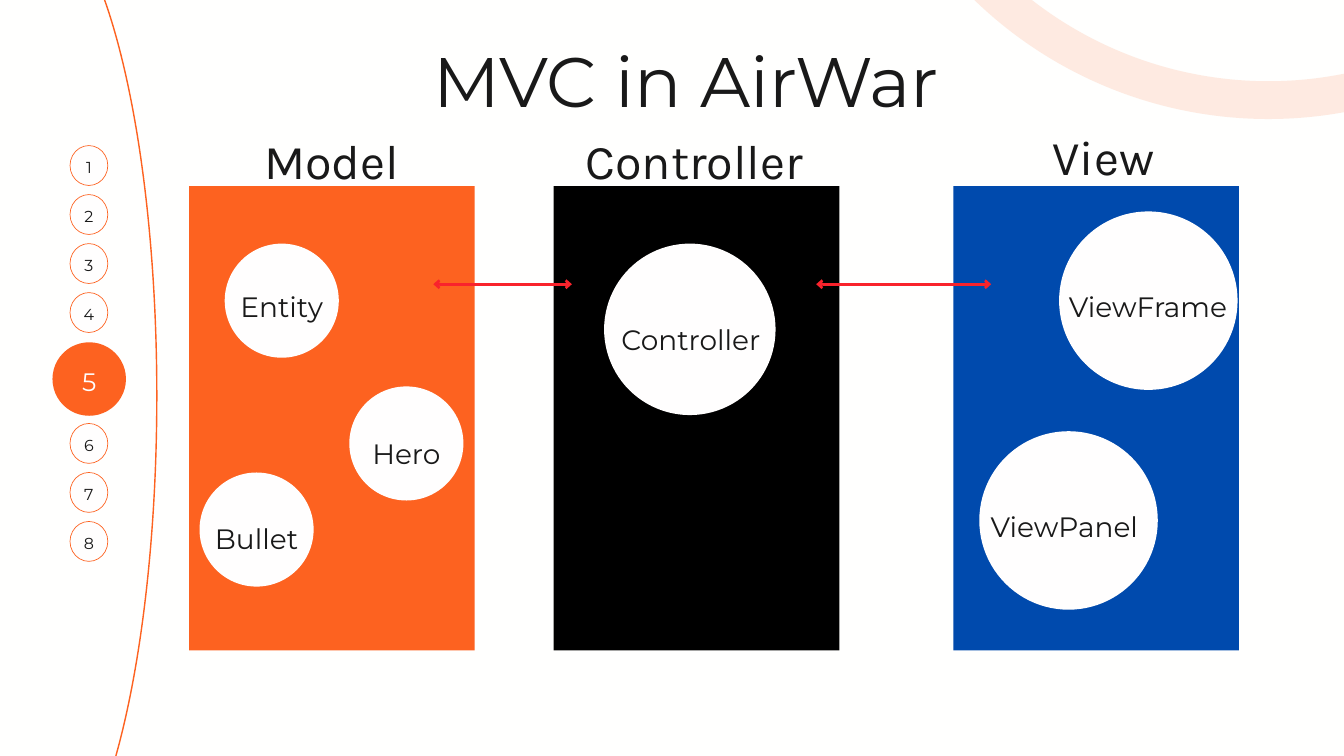
from typing import NamedTuple, Optional

from lxml import etree
from pptx import Presentation
from pptx.dml.color import RGBColor
from pptx.enum.shapes import MSO_CONNECTOR, MSO_SHAPE
from pptx.enum.text import MSO_ANCHOR, PP_ALIGN
from pptx.oxml.ns import qn
from pptx.util import Emu, Pt

OVAL, RECTANGLE = MSO_SHAPE.OVAL, MSO_SHAPE.RECTANGLE
STRAIGHT = MSO_CONNECTOR.STRAIGHT
CENTER, LEFT = PP_ALIGN.CENTER, PP_ALIGN.LEFT
TOP, MIDDLE = MSO_ANCHOR.TOP, MSO_ANCHOR.MIDDLE

PX = 9525  # EMU: the slide is 1920 by 1080 px
ORANGE, BLACK, BLUE, RED = "FD6220", "000000", "004AAD", "F9232C"
WHITE, INK, PAPER = "FFFEFE", "191919", "FFFFFE"
BODY_FONT, HEADING_FONT = "Montserrat", "Karla"
LINE_SPACING = 1.4  # times the font size

PANEL_TOP, PANEL_WIDTH, PANEL_HEIGHT = 266, 408, 663
PAGE_COUNT, CURRENT_PAGE = 8, 5
BADGE_STEP = 70
ARROW_Y = 406


class Box(NamedTuple):
    left: int
    top: int
    width: int
    height: int


class Panel(NamedTuple):
    left: int
    color: str
    heading: str
    heading_box: Box


class ClassCircle(NamedTuple):
    name: str
    left: int
    top: int
    diameter: int
    label: Box


PANELS = [
    Panel(270, ORANGE, "Model", Box(367, 173, 214, 93)),
    Panel(791, BLACK, "Controller", Box(817, 173, 350, 93)),
    Panel(1362, BLUE, "View", Box(1464, 168, 225, 98)),
]
CIRCLES = [
    ClassCircle("Entity", 321, 348, 163, Box(321, 406, 163, 53)),
    ClassCircle("Hero", 499, 552, 163, Box(499, 616, 163, 53)),
    ClassCircle("Bullet", 285, 675, 163, Box(285, 737, 163, 53)),
    ClassCircle("Controller", 863, 348, 245, Box(867, 453, 240, 53)),
    ClassCircle("ViewFrame", 1513, 302, 255, Box(1526, 406, 228, 53)),
    ClassCircle("ViewPanel", 1399, 616, 255, Box(1410, 720, 221, 53)),
]
ARROWS = [(619, 817), (1166, 1416)]


def px(value: int) -> Emu:
    return Emu(value * PX)


def rgb(color: str) -> RGBColor:
    return RGBColor.from_string(color)


def add_figure(page, kind, box: Box, fill: Optional[str] = None,
               line: Optional[str] = None, line_width: float = 1):
    figure = page.shapes.add_shape(kind, *map(px, box))
    figure.shadow.inherit = False
    if fill:
        figure.fill.solid()
        figure.fill.fore_color.rgb = rgb(fill)
    else:
        figure.fill.background()
    if line:
        figure.line.color.rgb = rgb(line)
        figure.line.width = Pt(line_width)
    else:
        figure.line.fill.background()
    return figure


def write_text(shape, text: str, size: int, font: str = BODY_FONT,
               color: str = INK, align=CENTER, anchor=TOP) -> None:
    frame = shape.text_frame
    frame.word_wrap = True
    frame.vertical_anchor = anchor
    frame.margin_left = frame.margin_right = 0
    frame.margin_top = frame.margin_bottom = 0
    para = frame.paragraphs[0]
    para.text = text
    para.alignment = align
    para.line_spacing = Pt(size * LINE_SPACING)
    para.font.name = font
    para.font.size = Pt(size)
    para.font.color.rgb = rgb(color)


def add_label(page, text: str, box: Box, size: int, font: str = BODY_FONT,
              align=CENTER) -> None:
    write_text(page.shapes.add_textbox(*map(px, box)), text, size, font, align=align)


def add_background_curves(page) -> None:
    add_figure(page, OVAL, Box(-144, -138, 368, 1407), line=ORANGE, line_width=1.5)
    ring = add_figure(page, OVAL, Box(1235, -1011, 1154, 1154),
                      line=ORANGE, line_width=40.5)
    color = ring.line._get_or_add_ln().find(".//" + qn("a:srgbClr"))
    etree.SubElement(color, qn("a:alpha"), val="12000")


def add_page_badges(page) -> None:
    for number in range(1, PAGE_COUNT + 1):
        if number == CURRENT_PAGE:
            badge = add_figure(page, OVAL, Box(75, 489, 105, 105), ORANGE)
            write_text(badge, str(number), 27, color=WHITE, anchor=MIDDLE)
            continue
        if number < CURRENT_PAGE:
            top = 208 + (number - 1) * BADGE_STEP
        else:
            top = 605 + (number - CURRENT_PAGE - 1) * BADGE_STEP
        badge = add_figure(page, OVAL, Box(100, top, 54, 57), WHITE, ORANGE, 0.75)
        write_text(badge, str(number), 17, anchor=MIDDLE)


def add_double_arrow(page, start: int, end: int) -> None:
    arrow = page.shapes.add_connector(
        STRAIGHT, px(start), px(ARROW_Y), px(end), px(ARROW_Y))
    arrow.line.color.rgb = rgb(RED)
    arrow.line.width = Pt(3)
    line = arrow.line._get_or_add_ln()
    for tag in ("a:headEnd", "a:tailEnd"):
        etree.SubElement(line, qn(tag), type="arrow", w="med", len="sm")
    etree.SubElement(arrow._element.spPr, qn("a:effectLst"))


def main() -> None:
    deck = Presentation()
    deck.slide_width, deck.slide_height = px(1920), px(1080)
    page = deck.slides.add_slide(deck.slide_layouts[6])
    page.background.fill.solid()
    page.background.fill.fore_color.rgb = rgb(PAPER)

    add_background_curves(page)
    add_page_badges(page)
    add_label(page, "MVC in AirWar", Box(619, 33, 822, 135), 75, align=LEFT)
    for panel in PANELS:
        add_figure(page, RECTANGLE,
                   Box(panel.left, PANEL_TOP, PANEL_WIDTH, PANEL_HEIGHT), panel.color)
        add_label(page, panel.heading, panel.heading_box, 52, HEADING_FONT)
    for start, end in ARROWS:
        add_double_arrow(page, start, end)
    for circle in CIRCLES:
        add_figure(page, OVAL, Box(circle.left, circle.top, circle.diameter,
                                   circle.diameter), WHITE)
        add_label(page, circle.name, circle.label, 30)
    deck.save("out.pptx")


if __name__ == "__main__":
    main()
